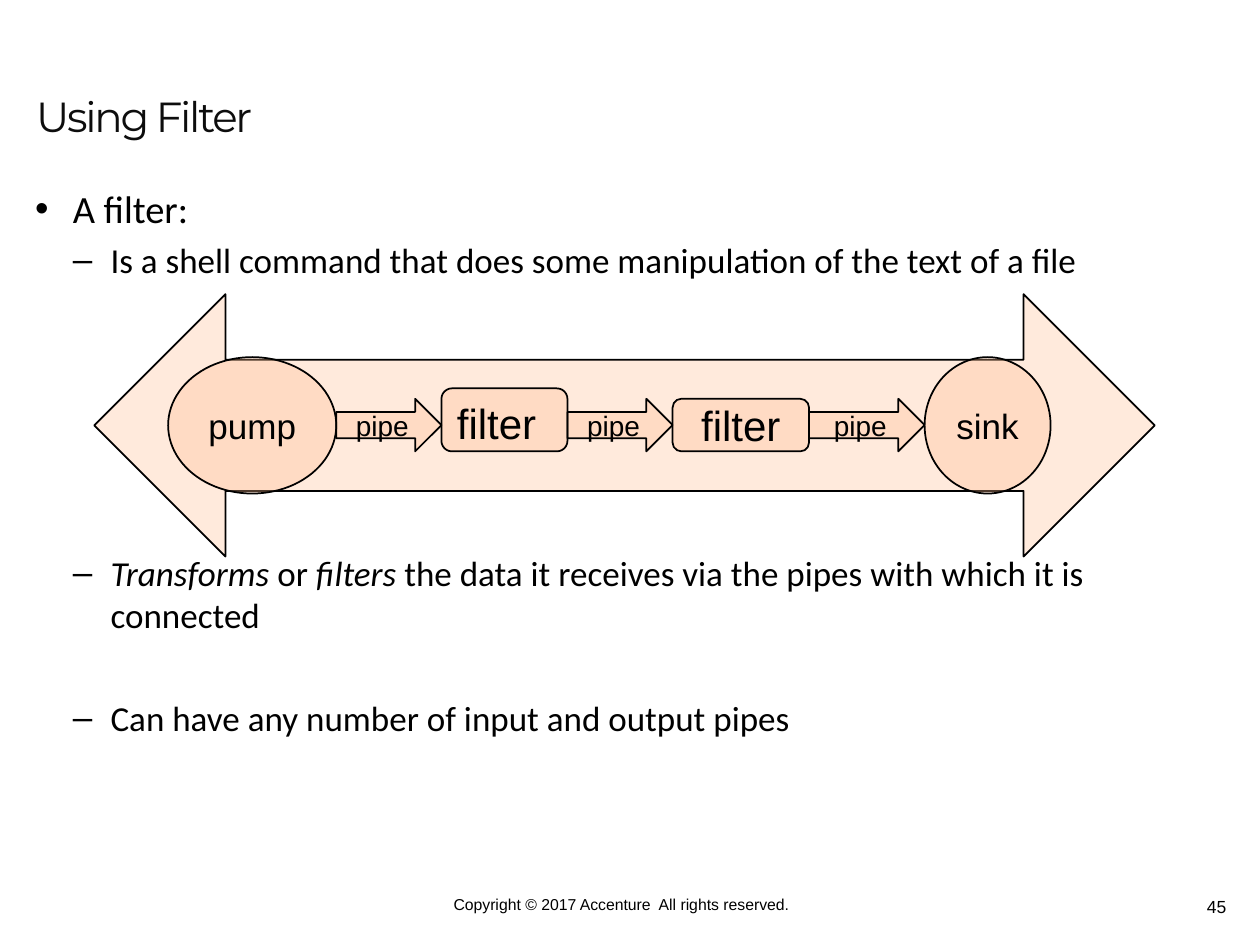
from lxml import etree
from pptx import Presentation
from pptx.dml.color import RGBColor
from pptx.enum.shapes import MSO_SHAPE
from pptx.enum.text import MSO_ANCHOR, PP_ALIGN
from pptx.oxml.ns import qn
from pptx.util import Cm, Pt

DOUBLE_ARROW = MSO_SHAPE.LEFT_RIGHT_ARROW
ELLIPSE = MSO_SHAPE.OVAL
ROUNDED = MSO_SHAPE.ROUNDED_RECTANGLE
ARROW = MSO_SHAPE.RIGHT_ARROW
TOP, MIDDLE, BOTTOM = MSO_ANCHOR.TOP, MSO_ANCHOR.MIDDLE, MSO_ANCHOR.BOTTOM
LEFT, CENTER, RIGHT = PP_ALIGN.LEFT, PP_ALIGN.CENTER, PP_ALIGN.RIGHT


def color(value):
    return RGBColor.from_string(value)


class FilterSlide:
    ink = "000000"
    title_ink = "0D0D0D"
    peach = "FFBC8F"
    opacity = 31
    label_font = "Arial"
    body_font = "Calibri"
    title_font = "Montserrat"

    def __init__(self, deck):
        self.page = deck.slides.add_slide(deck.slide_layouts[6])

    def add_span(self, para, text, size, font, ink=ink, italic=False):
        span = para.add_run()
        span.text = text
        span.font.size = Pt(size)
        span.font.name = font
        span.font.italic = italic
        span.font.color.rgb = color(ink)
        return span

    def add_box(self, left, top, width, height, anchor=TOP):
        box = self.page.shapes.add_textbox(Cm(left), Cm(top), Cm(width), Cm(height))
        frame = box.text_frame
        frame.word_wrap = True
        frame.vertical_anchor = anchor
        return frame

    def add_title(self, text):
        para = self.add_box(0.48, 0.43, 22.66, 2.54, BOTTOM).paragraphs[0]
        para.line_spacing = 0.9
        span = self.add_span(para, text, 24, self.title_font, self.title_ink)
        span.font._element.set("spc", "-130")

    def add_footer(self, text, left, top, width, height, size, align, margin):
        frame = self.add_box(left, top, width, height)
        frame.margin_left = frame.margin_right = Cm(margin)
        frame.margin_top = frame.margin_bottom = 0
        para = frame.paragraphs[0]
        para.alignment = align
        self.add_span(para, text, size, self.label_font)

    def add_bullet(self, para, level, mark):
        para.level = level
        properties = para._p.get_or_add_pPr()
        properties.set("marL", str(Cm(0.76 * (level + 1))))
        properties.set("indent", str(-Cm(0.76)))
        tint = etree.SubElement(properties, qn("a:buClr"))
        etree.SubElement(tint, qn("a:srgbClr"), val=self.ink)
        etree.SubElement(properties, qn("a:buFont"), typeface=self.label_font)
        etree.SubElement(properties, qn("a:buChar"), char=mark)

    def add_body(self, items):
        frame = self.add_box(0.46, 3.61, 23.67, 13.34)
        for index, (level, space, spans) in enumerate(items):
            para = frame.add_paragraph() if index else frame.paragraphs[0]
            self.add_bullet(para, level, "–" if level else "•")
            para.space_before = Pt(space)
            for text, italic in spans:
                self.add_span(para, text, 20 if level else 22, self.body_font, italic=italic)

    def add_shape(self, kind, left, top, width, height):
        shape = self.page.shapes.add_shape(kind, Cm(left), Cm(top), Cm(width), Cm(height))
        shape.shadow.inherit = False
        shape.fill.solid()
        shape.fill.fore_color.rgb = color(self.peach)
        tint = shape.fill._xPr.find(".//" + qn("a:srgbClr"))
        etree.SubElement(tint, qn("a:alpha"), val=str(self.opacity * 1000))
        shape.line.color.rgb = color(self.ink)
        shape.line.width = Pt(1)
        return shape

    def add_stage(self, kind, text, size, left, top, width, height, align, anchor):
        frame = self.add_shape(kind, left, top, width, height).text_frame
        frame.word_wrap = kind == ELLIPSE or align == LEFT
        frame.vertical_anchor = anchor
        para = frame.paragraphs[0]
        para.alignment = align
        self.add_span(para, text, size, self.label_font)


def main():
    deck = Presentation()
    deck.slide_width, deck.slide_height = Cm(25.4), Cm(19.05)
    slide = FilterSlide(deck)
    slide.add_footer("Copyright © 2017 Accenture  All rights reserved.",
                     6.99, 18.03, 11.07, 0.38, 9, CENTER, 0)
    slide.add_footer("45", 19.05, 18.06, 5.92, 0.6, 10, RIGHT, 0.25)
    slide.add_title("Using Filter")
    slide.add_body([
        (0, 0, [("A filter:", False)]),
        (1, 4, [("Is a shell command that does some manipulation of the text of a file", False)]),
        (1, 155, [("Transforms", True), (" or ", False), ("filters", True),
                  (" the data it receives via the pipes with which it is connected", False)]),
        (1, 34.5, [("Can have any number of input and output pipes", False)]),
    ])
    slide.add_shape(DOUBLE_ARROW, 1.9, 5.93, 21.38, 5.29)

    stages = [
        (ELLIPSE, "pump", 20, 7.2, 3.39, 2.75, CENTER, MIDDLE),
        (ARROW, "pipe", 16, 8.04, 2.12, 1.06, CENTER, MIDDLE),
        (ROUNDED, "filter", 24, 7.83, 2.54, 1.27, LEFT, TOP),
        (ARROW, "pipe", 16, 8.04, 2.12, 1.06, CENTER, MIDDLE),
        (ROUNDED, "filter", 24, 8.04, 2.75, 1.06, CENTER, MIDDLE),
        (ARROW, "pipe", 16, 8.04, 2.33, 1.06, CENTER, MIDDLE),
        (ELLIPSE, "sink", 20, 7.2, 2.54, 2.75, CENTER, MIDDLE),
    ]
    left = 3.39
    for kind, text, size, top, width, height, align, anchor in stages:
        slide.add_stage(kind, text, size, left, top, width, height, align, anchor)
        left += width
    deck.save("out.pptx")


if __name__ == "__main__":
    main()
